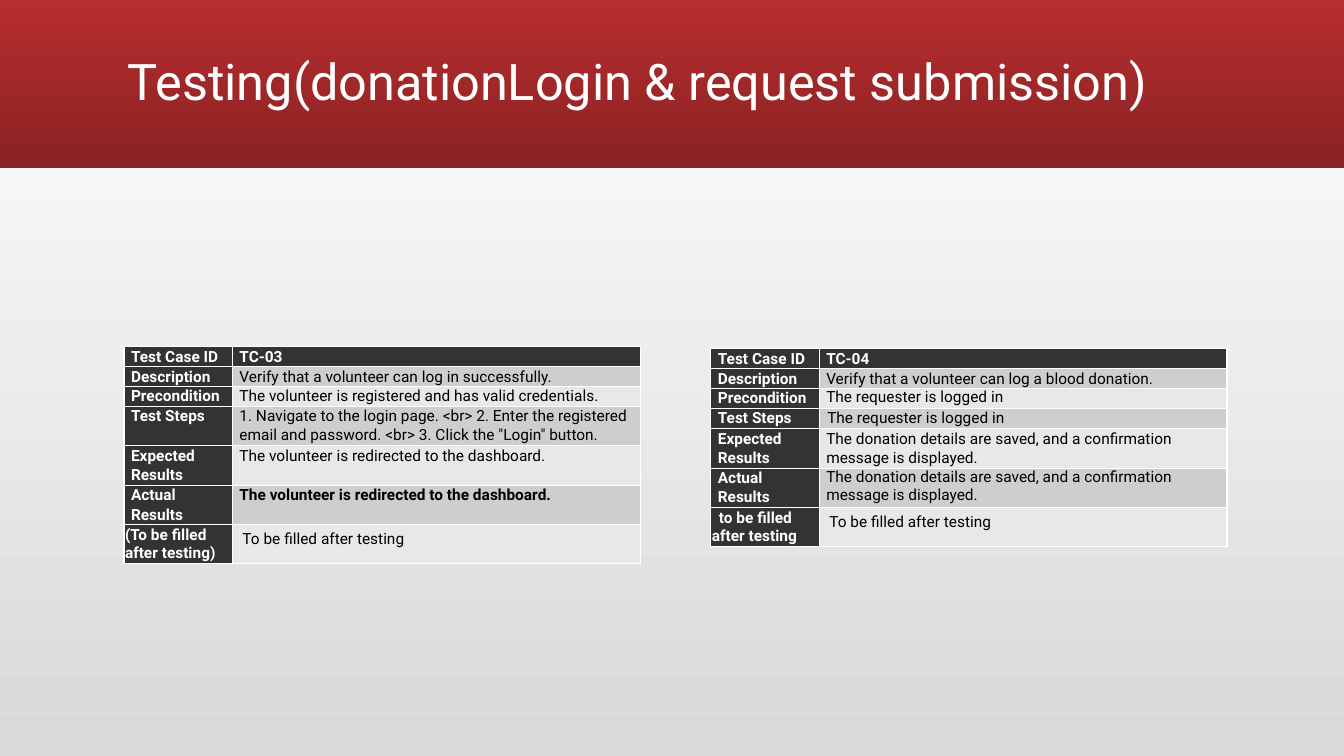
"""Build the slide with two test case tables."""
from pptx import Presentation
from pptx.dml.color import RGBColor
from pptx.enum import shapes, text
from pptx.util import Inches, Pt

FONT = "Roboto"
WHITE = RGBColor(0xFF, 0xFF, 0xFF)
BLACK = RGBColor(0x00, 0x00, 0x00)
CHARCOAL = RGBColor(0x33, 0x33, 0x33)
BANDS = (RGBColor(0xE8, 0xE8, 0xE8), RGBColor(0xCE, 0xCE, 0xCE))
PALE_GREY = RGBColor(0xD9, 0xD9, 0xD9)
RED = RGBColor(0xB8, 0x2D, 0x2F)
DARK_RED = RGBColor(0x8A, 0x22, 0x23)

LINE_HEIGHT = 0.19
COLUMN_SHARES = (0.21, 0.79)
NORMAL = {"insets": (0.07, 0), "spacing": 1.07, "after": 8}
SINGLE = {"insets": (0.07, 0)}
TIGHT = {"insets": (0.01, 0.01)}
INDENTED = {"insets": (0.01, 0.01), "indent": 0.07}
ROOMY = {"insets": (0.1, 0.05)}

LOGIN_CASE = [
    (1, "Test Case ID", "TC-03", {}, {}),
    (1, "Description", "Verify that a volunteer can log in successfully.", {}, {}),
    (1, "Precondition", "The volunteer is registered and has valid credentials.", {}, {}),
    (2, "Test Steps", "1. Navigate to the login page. <br> 2. Enter the registered email "
     "and password. <br> 3. Click the \"Login\" button.", {}, {}),
    (2, "Expected Results", "The volunteer is redirected to the dashboard.", {}, {}),
    (2, "Actual Results", "The volunteer is redirected to the dashboard.", {}, {"bold": True}),
    (2, "(To be filled after testing)", "To be filled after testing", TIGHT, ROOMY),
]
DONATION_CASE = [
    (1, "Test Case ID", "TC-04", {}, {}),
    (1, "Description", "Verify that a volunteer can log a blood donation.", {}, {}),
    (1, "Precondition", "The requester is logged in", {}, SINGLE),
    (1, "Test Steps", "The requester is logged in", {}, INDENTED),
    (2, "Expected Results", "The donation details are saved, and a confirmation "
     "message is displayed.", {}, {}),
    (2, "Actual Results", "The donation details are saved, and a confirmation "
     "message is displayed.", {}, SINGLE),
    (2, "to be filled after testing", "To be filled after testing", INDENTED, ROOMY),
]


def add_run(paragraph, words, size, color, bold=False):
    """Add one formatted run to a paragraph."""
    run = paragraph.add_run()
    run.text = words
    run.font.name = FONT
    run.font.size = Pt(size)
    run.font.bold = bold
    run.font.color.rgb = color


def set_gradient(fill, start, end, angle):
    """Give a fill a linear gradient of two colours."""
    fill.gradient()
    fill.gradient_angle = angle
    for stop, color, position in zip(fill.gradient_stops, (start, end), (0, 1)):
        stop.color.rgb = color
        stop.position = position


def add_banner(slide, left, top, width, height, title):
    """Draw the red banner with the slide title in it."""
    banner = slide.shapes.add_shape(
        shapes.MSO_SHAPE.RECTANGLE, Inches(left), Inches(top), Inches(width), Inches(height))
    banner.shadow.inherit = False
    banner.line.fill.background()
    set_gradient(banner.fill, RED, DARK_RED, 270)
    box = slide.shapes.add_textbox(
        Inches(left + 1.17), Inches(top + 0.11), Inches(11), Inches(height - 0.22))
    box.text_frame.word_wrap = True
    box.text_frame.vertical_anchor = text.MSO_ANCHOR.MIDDLE
    paragraph = box.text_frame.paragraphs[0]
    paragraph.line_spacing = 0.9
    add_run(paragraph, title, 36, WHITE)


def fill_cell(cell, words, background, color, bold, layout):
    """Write and format one table cell."""
    cell.fill.solid()
    cell.fill.fore_color.rgb = background
    horizontal, vertical = layout["insets"]
    cell.margin_left = cell.margin_right = Inches(horizontal)
    cell.margin_top = cell.margin_bottom = Inches(vertical)
    paragraph = cell.text_frame.paragraphs[0]
    if "spacing" in layout:
        paragraph.line_spacing = layout["spacing"]
        paragraph.space_after = Pt(layout["after"])
    if "indent" in layout:
        properties = paragraph._p.get_or_add_pPr()
        properties.set("marL", "0")
        properties.set("indent", str(Inches(layout["indent"])))
    add_run(paragraph, words, 11, color, bold)


def add_test_case(slide, left, top, width, rows):
    """Draw a test case as a table of labels and values."""
    height = LINE_HEIGHT * sum(row[0] for row in rows)
    table = slide.shapes.add_table(
        len(rows), 2, Inches(left), Inches(top), Inches(width), Inches(height)).table
    for column, share in zip(table.columns, COLUMN_SHARES):
        column.width = Inches(width * share)
    for index, (lines, label, value, label_layout, value_layout) in enumerate(rows):
        table.rows[index].height = Inches(LINE_HEIGHT * lines)
        fill_cell(table.cell(index, 0), label, CHARCOAL, WHITE, True, label_layout or NORMAL)
        header = index == 0
        layout = value_layout if "insets" in value_layout else NORMAL
        fill_cell(table.cell(index, 1), value,
                  CHARCOAL if header else BANDS[index % 2],
                  WHITE if header else BLACK,
                  header or value_layout.get("bold", False), layout)


def main():
    """Build and save the presentation."""
    presentation = Presentation()
    presentation.slide_width = Inches(13.33)
    presentation.slide_height = Inches(7.5)
    slide = presentation.slides.add_slide(presentation.slide_layouts[6])
    set_gradient(slide.background.fill, PALE_GREY, WHITE, 90)
    add_banner(slide, 0, 0, 13.33, 1.67, "Testing(donationLogin & request submission)")
    add_test_case(slide, 1.23, 3.44, 5.12, LOGIN_CASE)
    add_test_case(slide, 7.05, 3.46, 5.12, DONATION_CASE)
    presentation.save("out.pptx")


if __name__ == "__main__":
    main()
